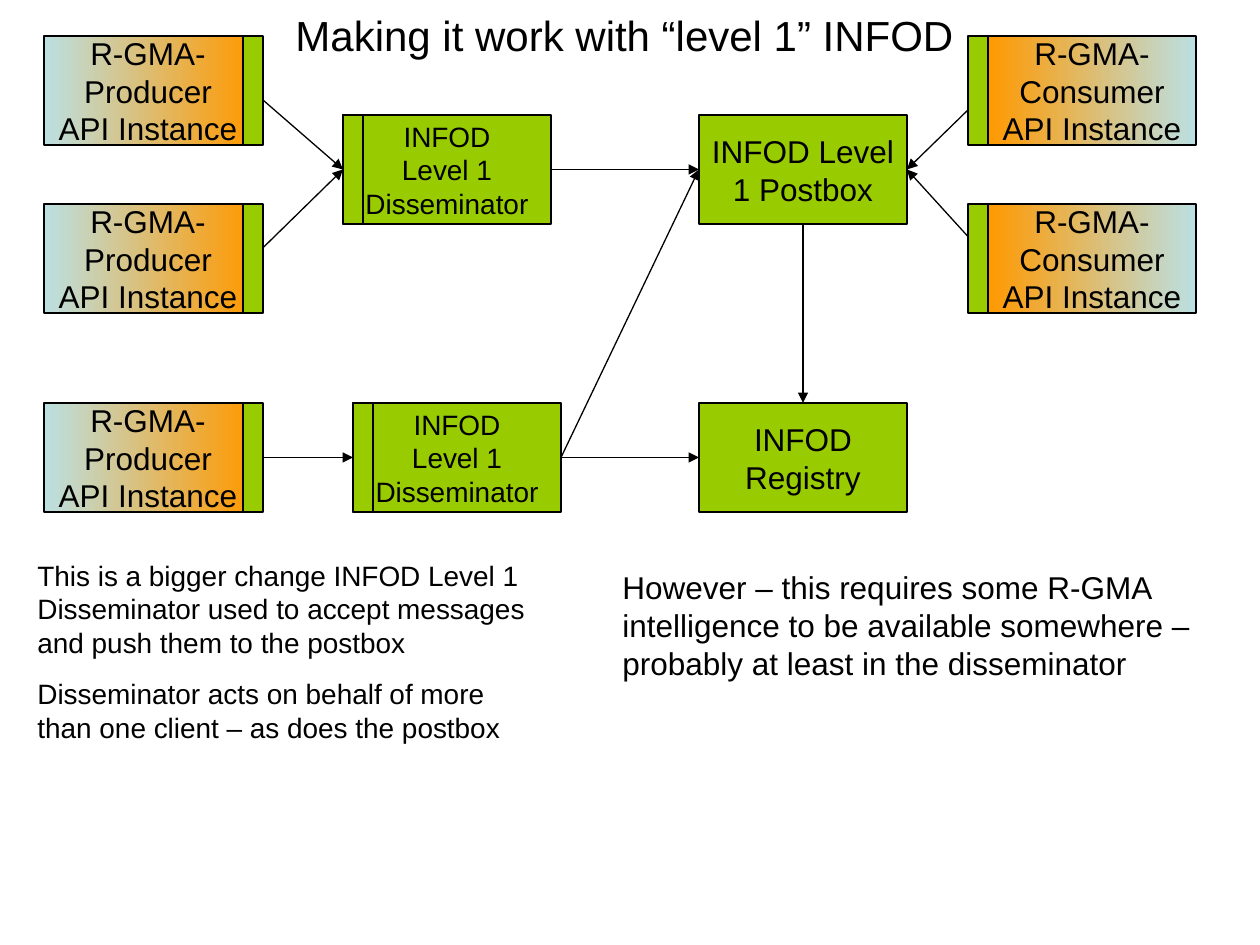
from lxml.etree import SubElement
from pptx import Presentation
from pptx.dml.color import RGBColor
from pptx.enum.shapes import MSO_CONNECTOR, MSO_SHAPE
from pptx.enum.text import MSO_ANCHOR, PP_ALIGN
from pptx.oxml.ns import qn
from pptx.util import Pt

EMU_PER_PX = 914400 / 126
BOX_WIDTH, BOX_HEIGHT, STRIP_WIDTH = 208, 109, 20
TOP, LEFT, BOTTOM, RIGHT = range(4)
BLACK, GREEN, ORANGE, PALE_BLUE = "000000", "99CC00", "FF9900", "BBE0E3"
PRODUCER = ["R-GMA-Producer API Instance"]
CONSUMER = ["R-GMA-Consumer API Instance"]
DISSEMINATOR = ["INFOD", "Level 1", "Disseminator"]


def px(length):
    return round(length * EMU_PER_PX)


def color(hex_string):
    return RGBColor.from_string(hex_string)


def write(shape, lines, size, alignment, anchor, space_before=0):
    text_frame = shape.text_frame
    text_frame.word_wrap = True
    text_frame.vertical_anchor = anchor
    text_frame.text = "\n".join(lines)
    for index, paragraph in enumerate(text_frame.paragraphs):
        paragraph.alignment = alignment
        if index and space_before:
            paragraph.space_before = Pt(space_before)
        for run in paragraph.runs:
            run.font.name = "Arial"
            run.font.size = Pt(size)
            run.font.color.rgb = color(BLACK)


def add_rectangle(slide, left, top, width, fill_colors):
    shape = slide.shapes.add_shape(
        MSO_SHAPE.RECTANGLE, px(left), px(top), px(width), px(BOX_HEIGHT))
    shape.shadow.inherit = False
    if len(fill_colors) == 1:
        shape.fill.solid()
        shape.fill.fore_color.rgb = color(fill_colors[0])
    else:
        shape.fill.gradient()
        shape.fill.gradient_angle = 0
        for stop, hex_string in zip(shape.fill.gradient_stops, fill_colors):
            stop.color.rgb = color(hex_string)
    shape.line.color.rgb = color(BLACK)
    shape.line.width = Pt(0.75)
    return shape


def add_box(slide, left, top, lines, size=18, fill_colors=(GREEN,)):
    box = add_rectangle(slide, left, top, BOX_WIDTH, fill_colors)
    write(box, lines, size, PP_ALIGN.CENTER, MSO_ANCHOR.MIDDLE)
    return box


def add_arrow(slide, start, start_side, end, end_side):
    arrow = slide.shapes.add_connector(MSO_CONNECTOR.STRAIGHT, 0, 0, 0, 0)
    arrow.begin_connect(start, start_side)
    arrow.end_connect(end, end_side)
    arrow.line.color.rgb = color(BLACK)
    arrow.line.width = Pt(0.75)
    SubElement(arrow.line._get_or_add_ln(), qn("a:tailEnd"), type="triangle")
    SubElement(arrow._element.spPr, qn("a:effectLst"))


def add_text(slide, left, top, width, height, lines, size,
             alignment=PP_ALIGN.LEFT, space_before=0):
    box = slide.shapes.add_textbox(px(left), px(top), px(width), px(height))
    write(box, lines, size, alignment, MSO_ANCHOR.TOP, space_before)


def add_diagram(slide):
    rows = (36, 204, 403)
    upper_row = 115
    producers = [add_box(slide, 44, top, PRODUCER, fill_colors=(PALE_BLUE, ORANGE))
                 for top in rows]
    consumers = [add_box(slide, 988, top, CONSUMER, fill_colors=(ORANGE, PALE_BLUE))
                 for top in rows[:2]]
    upper_disseminator = add_box(slide, 343, upper_row, DISSEMINATOR, 16)
    lower_disseminator = add_box(slide, 353, rows[2], DISSEMINATOR, 16)
    postbox = add_box(slide, 699, upper_row, ["INFOD Level 1 Postbox"])
    registry = add_box(slide, 699, rows[2], ["INFOD", "Registry"])

    disseminators = (upper_disseminator, upper_disseminator, lower_disseminator)
    for producer, disseminator in zip(producers, disseminators):
        add_arrow(slide, producer, RIGHT, disseminator, LEFT)
    for consumer in consumers:
        add_arrow(slide, consumer, LEFT, postbox, RIGHT)
    add_arrow(slide, upper_disseminator, RIGHT, postbox, LEFT)
    add_arrow(slide, lower_disseminator, RIGHT, postbox, LEFT)
    add_arrow(slide, lower_disseminator, RIGHT, registry, LEFT)
    add_arrow(slide, postbox, BOTTOM, registry, TOP)

    strips = [(243, top) for top in rows] + [(968, top) for top in rows[:2]]
    strips += [(343, upper_row), (353, rows[2])]
    for left, top in strips:
        add_rectangle(slide, left, top, STRIP_WIDTH, (GREEN,))


def main():
    presentation = Presentation()
    presentation.slide_width = px(1260)
    presentation.slide_height = px(945)
    slide = presentation.slides.add_slide(presentation.slide_layouts[6])
    add_diagram(slide)
    add_text(slide, 25, 552, 525, 198, [
        "This is a bigger change INFOD Level 1 Disseminator used to accept "
        "messages and push them to the postbox",
        "Disseminator acts on behalf of more than one client – as does the postbox",
    ], 16, space_before=10)
    add_text(slide, 610, 562, 615, 126, [
        "However – this requires some R-GMA intelligence to be available "
        "somewhere – probably at least in the disseminator",
    ], 18)
    add_text(slide, 64, 3, 1121, 62, ["Making it work with “level 1” INFOD"],
             24, PP_ALIGN.CENTER)
    presentation.save("out.pptx")


if __name__ == "__main__":
    main()
